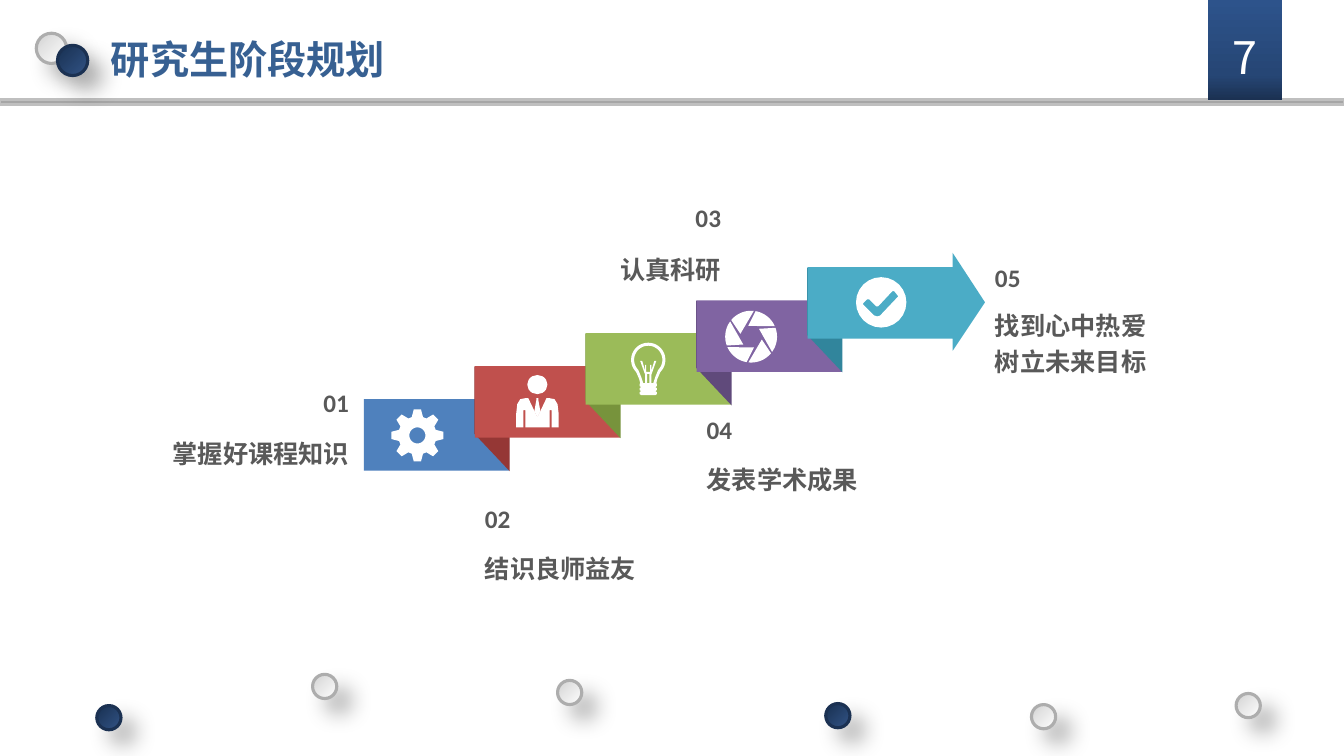
from copy import deepcopy
from math import cos, sin, radians
from pptx import Presentation
from pptx import util as u
from pptx.dml.color import RGBColor
from pptx.enum import shapes, text
from pptx.oxml import parse_xml
from pptx.oxml import ns

WHITE = RGBColor(0xFF, 0xFF, 0xFF)
GREY = RGBColor(0xA6, 0xA6, 0xA6)
SILVER = RGBColor(0xBF, 0xBF, 0xBF)
PALE = RGBColor(0xD3, 0xD3, 0xD3)
RIM = RGBColor(0xAD, 0xAD, 0xAD)
NAVY = RGBColor(0x18, 0x30, 0x52)
STEEL = RGBColor(0x33, 0x54, 0x85)
DEEP = RGBColor(0x1B, 0x31, 0x52)
MID = RGBColor(0x26, 0x46, 0x75)
BRIGHT = RGBColor(0x2D, 0x53, 0x8B)
TITLE = RGBColor(0x37, 0x60, 0x92)
INK = RGBColor(0x59, 0x59, 0x59)
BLUE = RGBColor(0x4F, 0x81, 0xBD)
RED = RGBColor(0xC0, 0x50, 0x4D)
GREEN = RGBColor(0x9B, 0xBB, 0x59)
PURPLE = RGBColor(0x80, 0x64, 0xA2)
TEAL = RGBColor(0x4B, 0xAC, 0xC6)
MAROON = RGBColor(0x95, 0x37, 0x35)
OLIVE = RGBColor(0x77, 0x93, 0x3C)
PLUM = RGBColor(0x60, 0x4A, 0x7B)
PINE = RGBColor(0x31, 0x85, 0x9C)

KIND = shapes.MSO_SHAPE
LEFT, MIDDLE, RIGHT = text.PP_ALIGN.LEFT, text.PP_ALIGN.CENTER, text.PP_ALIGN.RIGHT
SANS = "Noto Sans CJK SC"
SHADOW = (
    f'<a:effectLst {ns.nsdecls("a")}><a:outerShdw blurRad="203200" dist="177800" '
    'dir="2700000" algn="tl" rotWithShape="0"><a:srgbClr val="000000">'
    '<a:alpha val="31000"/></a:srgbClr></a:outerShdw></a:effectLst>'
)


def arc(x, y, r, start, end, count=24):
    turns = [radians(start + (end - start) * i / count) for i in range(count + 1)]
    return [(x + r * cos(t), y + r * sin(t)) for t in turns]


def mirror(x, half):
    return [(x + dx, y) for dx, y in half] + [(x - dx, y) for dx, y in reversed(half)]


class Deck:
    def __init__(self):
        self.show = Presentation()
        self.show.slide_width = u.Inches(13.33)
        self.show.slide_height = u.Inches(7.5)
        self.slide = self.show.slides.add_slide(self.show.slide_layouts[6])

    def paint(self, shape, fill):
        shape.shadow.inherit = False
        shape.line.fill.background()
        if fill:
            shape.fill.solid()
            shape.fill.fore_color.rgb = fill
        return shape

    def shape(self, kind, box, fill=None):
        return self.paint(self.slide.shapes.add_shape(kind, *map(u.Inches, box)), fill)

    def blend(self, shape, first, last, angle):
        shape.fill.gradient()
        shape.fill.gradient_angle = angle
        for stop, color in zip(shape.fill.gradient_stops, (first, last)):
            stop.color.rgb = color

    def border(self, shape, color, width):
        shape.line.color.rgb = color
        shape.line.width = u.Pt(width)

    def dot(self, x, y, size, dark):
        dot = self.shape(KIND.OVAL, (x, y, size, size))
        dot.rotation = 90
        self.blend(dot, *((STEEL, NAVY) if dark else (WHITE, PALE)), 225)
        self.border(dot, DEEP if dark else RIM, 2.25)
        props = dot._element.spPr
        props.remove(props.find(ns.qn("a:effectLst")))
        props.append(parse_xml(SHADOW))

    def outline(self, fill, *loops):
        loops = [[(u.Inches(x), u.Inches(y)) for x, y in loop] for loop in loops]
        pen = self.slide.shapes.build_freeform(*loops[0][0], scale=1.0)
        for loop in loops:
            pen.move_to(*loop[0])
            pen.add_line_segments(loop[1:], close=True)
        return self.paint(pen.convert_to_shape(), fill)

    def text(self, box, words, size, font, color, align=LEFT, bold=True,
             anchor=text.MSO_ANCHOR.MIDDLE, inset=(0.1, 0.05), wrap=True, space=None):
        frame = self.slide.shapes.add_textbox(*map(u.Inches, box)).text_frame
        frame.word_wrap = wrap
        frame.vertical_anchor = anchor
        frame.margin_left = frame.margin_right = u.Inches(inset[0])
        frame.margin_top = frame.margin_bottom = u.Inches(inset[1])
        frame.text = words
        for line in frame.paragraphs:
            line.alignment = align
            if space:
                line.line_spacing = space
            for run in line.runs:
                run.font.size = u.Pt(size)
                run.font.name = font
                run.font.bold = bold
                run.font.color.rgb = color
                east = run._r.get_or_add_rPr().makeelement(ns.qn("a:ea"), {"typeface": SANS})
                run.font._element.find(ns.qn("a:latin")).addnext(east)
        return frame

    def label(self, x, y, number, words, align, width, height):
        self.text((x, y, 2.72, 0.39), number, 18, "Calibri", INK, align,
                  anchor=text.MSO_ANCHOR.BOTTOM, wrap=False)
        self.text((x, y + 0.39, width, height), words, 18, SANS, INK, align, space=1.2)

    def step(self, index, fill, fold):
        x, y = 3.61 + 1.1 * index, 3.96 - 0.327 * index
        self.shape(KIND.RECTANGLE, (x, y, 1.44, 0.71), fill)
        flap = self.shape(KIND.PARALLELOGRAM, (x + 0.75, y + 0.02, 1.04, 0.35), fold)
        flap.rotation = 90
        flap.adjustments[0] = 1.06

    def gear(self, x, y):
        teeth = []
        for turn in range(0, 360, 45):
            for shift, r in ((-17, 0.19), (-8, 0.26), (8, 0.26), (17, 0.19)):
                teeth += arc(x, y, r, turn + shift, turn + shift, 1)[:1]
        self.outline(WHITE, teeth, arc(x, y, 0.08, 0, 360))

    def lens(self, x, y):
        self.outline(WHITE, *[
            arc(x, y, 0.257, turn - 84, turn - 140) + arc(x, y, 0.11, turn - 165, turn - 165, 1)[:1]
            for turn in range(0, 360, 60)])

    def bulb(self, x):
        shell = arc(0, 3.57, 0.17, -90, 45) + [(0.09, 3.76), (0.08, 3.8)]
        for y in (3.82, 3.86, 3.9):
            shell += [(0.085, y - 0.01), (0.085, y + 0.01), (0.07, y + 0.02)]
        glass = arc(0, 3.57, 0.14, -90, 45) + [
            (0.07, 3.74), (0.05, 3.8), (0.03, 3.8), (0.03, 3.72), (0.08, 3.58), (0.06, 3.58),
            (0.03, 3.68), (0.03, 3.62), (0.02, 3.62), (0.02, 3.69)]
        stem = [(0.01, 3.71), (0.01, 3.8)]
        self.outline(WHITE, *[mirror(x, half) for half in (shell, glass, stem)])

    def person(self, x):
        self.shape(KIND.OVAL, (x - 0.1, 3.72, 0.2, 0.19), WHITE)
        coat = [(0, 4.14), (0.09, 3.95), (0.12, 3.95), (0.17, 3.96), (0.2, 4.01), (0.21, 4.1),
                (0.21, 4.24), (0.14, 4.24), (0.14, 4.07), (0.12, 4.07), (0.12, 4.24)]
        tie = [(0.01, 3.95), (0.01, 3.97), (0.03, 4.08), (0, 4.14)]
        for half in (coat, tie):
            self.outline(WHITE, mirror(x, half))

    def check(self, x, y):
        tick = [(0.17, -0.06), (0.13, -0.11), (0.11, -0.11), (-0.03, 0.04), (-0.05, 0.04),
                (-0.12, -0.03), (-0.14, -0.03), (-0.18, 0.01), (-0.18, 0.02), (-0.07, 0.13),
                (-0.04, 0.14), (-0.01, 0.13)]
        self.outline(WHITE, arc(x, y, 0.25, 0, 360), [(x + dx, y + dy) for dx, dy in tick])


def main():
    deck = Deck()
    rule = deck.shape(KIND.RECTANGLE, (0, 0.99, 13.33, 0.05), GREY)
    deck.border(rule, SILVER, 2)
    tab = deck.shape(KIND.RECTANGLE, (11.98, 0, 0.74, 0.99))
    deck.blend(tab, DEEP, BRIGHT, 90)
    first = tab._element.spPr.find(".//" + ns.qn("a:gs"))
    first.addnext(deepcopy(first))
    center = tab.fill.gradient_stops[1]
    center.position = 0.25
    center.color.rgb = MID

    for x, y, size, dark in (
            (0.36, 0.33, 0.3, False), (0.57, 0.45, 0.3, True), (3.1, 6.69, 0.24, False),
            (5.53, 6.75, 0.24, False), (10.23, 6.99, 0.24, False), (0.96, 7, 0.24, True),
            (8.19, 6.98, 0.24, True), (12.26, 6.88, 0.24, False)):
        deck.dot(x, y, size, dark)

    deck.text((12.19, 0.41, 0.31, 0.3), "7", 32, SANS, WHITE, MIDDLE, False, inset=(0, 0))
    title = deck.text((1.03, 0.31, 8.75, 0.55), "研究生阶段规划", 28, "Cambria", TITLE,
                      anchor=text.MSO_ANCHOR.TOP, inset=(0.07, 0.04))
    title.auto_size = text.MSO_AUTO_SIZE.SHAPE_TO_FIT_TEXT

    for row in (
            (0.84, 3.8, "01", "掌握好课程知识", RIGHT, 2.72, 0.56),
            (9.77, 2.56, "05", "找到心中热爱\n树立未来目标", LEFT, 2.49, 0.85),
            (6.91, 4.07, "04", "发表学术成果", LEFT, 2.72, 0.53),
            (4.53, 1.97, "03", "认真科研", RIGHT, 2.72, 0.56),
            (4.71, 4.95, "02", "结识良师益友", LEFT, 2.72, 0.53)):
        deck.label(*row)

    tones = ((BLUE, MAROON), (RED, OLIVE), (GREEN, PLUM), (PURPLE, PINE))
    for index, (fill, fold) in enumerate(tones):
        deck.step(index, fill, fold)
    deck.outline(TEAL, [(9.45, 2.51), (9.77, 3), (9.45, 3.48), (9.45, 3.36),
                        (8.01, 3.36), (8.01, 2.65), (9.45, 2.65)])
    deck.gear(4.14, 4.32)
    deck.lens(7.45, 3.34)
    deck.bulb(6.43)
    deck.person(5.33)
    deck.check(8.74, 3)
    deck.show.save("out.pptx")


if __name__ == "__main__":
    main()
